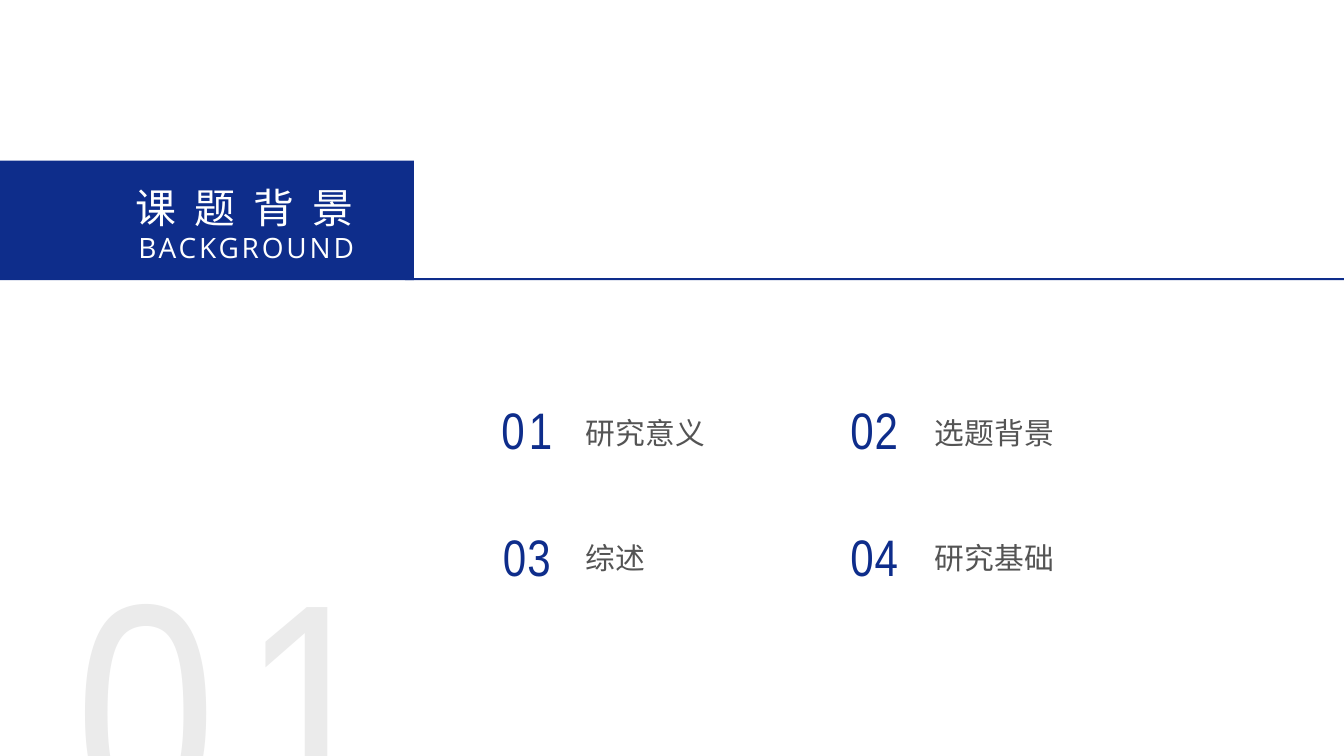
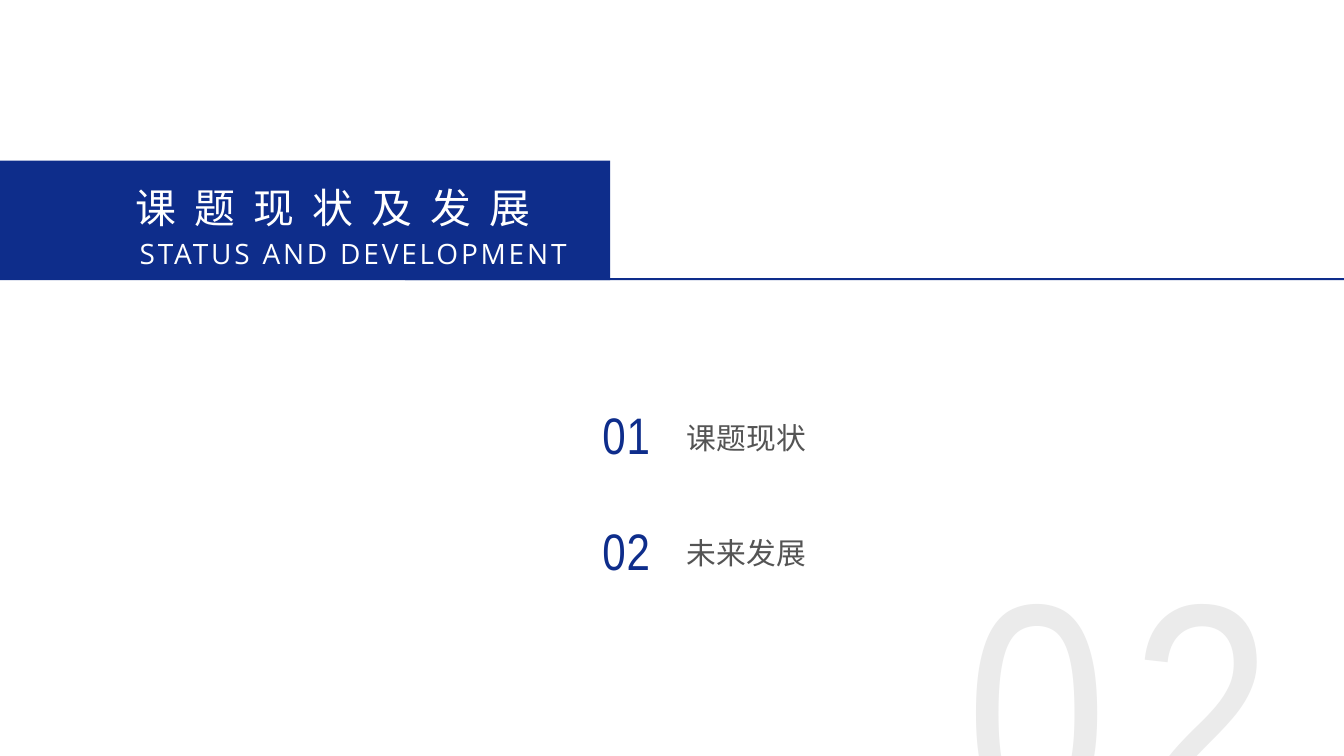
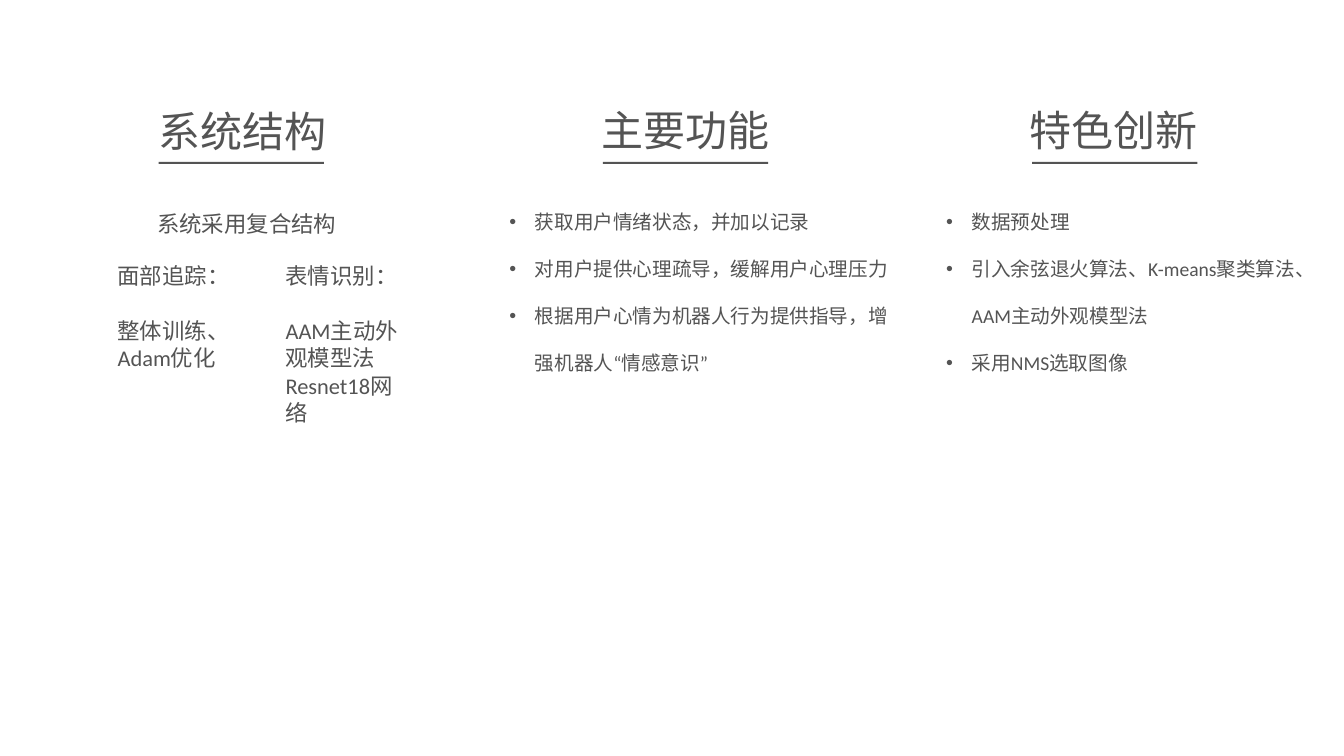
from pptx import Presentation
from pptx.dml.color import RGBColor as Rgb
from pptx.enum.shapes import MSO_SHAPE as Kind
from pptx.enum.text import MSO_ANCHOR as Anchor, MSO_AUTO_SIZE as Fit, PP_ALIGN as Align
from pptx.oxml.ns import qn
from pptx.util import Inches, Pt
from lxml.etree import SubElement as Sub

HUES = {"navy": "0E2D8B", "text": "545454", "pale": "EBEBEB", "white": "FFFFFF"}
MID, LEFT = Align.CENTER, Align.LEFT
STYLES = {
    "title": ("Calibri", 43.8, "white", 19.44, MID, Pt(61.3)),
    "sub": ("Open Sans", 30, "white", 3.04, MID, Pt(42)),
    "huge": ("Arial Narrow", 331.6, "pale", 26.2, MID, Pt(464.1)),
    "num": ("Arial Narrow", 55, "navy", 1, MID, Pt(77)),
    "wide": ("Arial Narrow", 55, "navy", 4.3, MID, Pt(77)),
    "item": ("Calibri", 31.94, "text", 0, LEFT, Pt(44.6)),
    "head": ("Calibri", 45, "text", 0, MID, Pt(63)),
    "lead": ("Calibri", 24, "text", 0, MID, Pt(29.4)),
    "body": ("Calibri", 24, "text", 0, LEFT, Pt(29.4)),
    "list": ("Calibri", 21, "text", 0, LEFT, 2.0),
}
FRAME = {"margin_left": 0, "margin_top": 0, "margin_right": 0, "margin_bottom": 0,
         "word_wrap": True, "auto_size": Fit.SHAPE_TO_FIT_TEXT,
         "vertical_anchor": Anchor.TOP}


def put(page, at, lines, style, box=None):
    face, size, hue, gap, align, lead = STYLES[style]
    box = box or page.shapes.add_textbox(0, 0, 0, 0)
    for key, val in zip(("left", "top", "width", "height"), at):
        setattr(box, key, Inches(val))
    frame = box.text_frame
    for key, val in FRAME.items():
        setattr(frame, key, val)
    frame.text = "\n".join(lines)
    for para in frame.paragraphs:
        for key, val in {"alignment": align, "line_spacing": lead}.items():
            setattr(para, key, val)
        run = para.runs[0]
        run.font.color.rgb = Rgb.from_string(HUES[hue])
        for key, val in {"name": face, "size": Pt(size), "bold": False}.items():
            setattr(run.font, key, val)
        props = run._r.get_or_add_rPr()
        Sub(props, qn("a:ea"), typeface=face)
        if gap:
            props.set("spc", str(round(gap * 100)))
        if style == "list":
            props = para._p.get_or_add_pPr()
            props.set("marL", str(Inches(0.38)))
            props.set("indent", str(-Inches(0.38)))
            Sub(props, qn("a:buFont"), typeface="Arial")
            Sub(props, qn("a:buChar"), char="•")
    return frame


def bar(page, at, hue):
    rect = page.shapes.add_shape(Kind.RECTANGLE, *map(Inches, at))
    rect.shadow.inherit = False
    rect.fill.solid()
    rect.fill.fore_color.rgb = Rgb.from_string(HUES[hue])
    rect.line.fill.background()


deck = Presentation()
deck.slide_width, deck.slide_height = Inches(20), Inches(11.25)

PARTS = [
    {"no": "01", "left": -0.15, "band": 6.31,
     "title": ("课题背景", (1.72, 2.59, 3.85, 0.81)),
     "sub": ("BACKGROUND", (1.7, 3.35, 3.93, 0.54)),
     "cols": ((7.2, 8.72), (12.37, 13.91)), "rows": ((5.77, 6.08), (7.66, 7.95)),
     "items": ("研究意义", "选题背景", "综述", "研究基础")},
    {"no": "02", "left": 13.1, "band": 9.23,
     "title": ("课题现状及发展", (1.3, 2.59, 7.3, 0.81)),
     "sub": ("STATUS AND DEVELOPMENT", (1.92, 3.43, 6.68, 0.54)),
     "cols": ((8.68, 10.22),), "rows": ((5.85, 6.16), (7.57, 7.87)),
     "items": ("课题现状", "未来发展")},
]

for part in PARTS:
    page = deck.slides.add_slide(deck.slide_layouts[5])
    bar(page, (-0.15, 2.39, part["band"], 1.78), "navy")
    put(page, (part["left"], 6.69, 7.12, 6.18), [part["no"]], "huge")
    for i, item in enumerate(part["items"]):
        row, col = divmod(i, len(part["cols"]))
        (nx, tx), (ny, ty) = part["cols"][col], part["rows"][row]
        style = "wide" if part["no"] == "01" and i == 0 else "num"
        put(page, (nx, ny, 1.28, 1.02), [f"{i + 1:02}"], style)
        put(page, (tx, ty, 2.12, 0.59), [item], "item")
    name, at = part["title"]
    title = page.shapes.title
    put(page, at, [name], "title", title)
    page.shapes._spTree.append(title._element)
    name, at = part["sub"]
    put(page, at, [name], "sub")
    bar(page, (6.03, 4.14, 14.13, 0.03), "navy")

page = deck.slides.add_slide(deck.slide_layouts[6])
HEADS = [("系统结构", 1.48, 1.44, 2.36), ("主要功能", 8.06, 1.43, 8.97),
         ("特色创新", 14.44, 1.43, 15.36)]
for name, x, y, rule in HEADS:
    put(page, (x, y, 4.27, 0.88), [name], "head")
    bar(page, (rule, 2.41, 2.46, 0.03), "text")

put(page, (1.5, 3.12, 4.34, 0.41), ["系统采用复合结构"], "lead")
NOTES = [((1.75, 3.89, 1.87, 2.06), ["面部追踪：", "整体训练、", "Adam优化"]),
         ((4.25, 3.89, 1.8, 2.89), ["表情识别：", "AAM主动外观模型法", "Resnet18网络"])]
for at, lines in NOTES:
    frame = put(page, at, lines, "body")
    frame.paragraphs[1].space_before = Pt(29.4)

LISTS = [((7.58, 2.77, 5.72, 3.53),
          ["获取用户情绪状态，并加以记录", "对用户提供心理疏导，缓解用户心理压力",
           "根据用户心情为机器人行为提供指导，增强机器人“情感意识”"]),
         ((14.08, 2.77, 5.36, 3.53),
          ["数据预处理", "引入余弦退火算法、K-means聚类算法、AAM主动外观模型法",
           "采用NMS选取图像"])]
for at, lines in LISTS:
    put(page, at, lines, "list")

deck.save("out.pptx")
